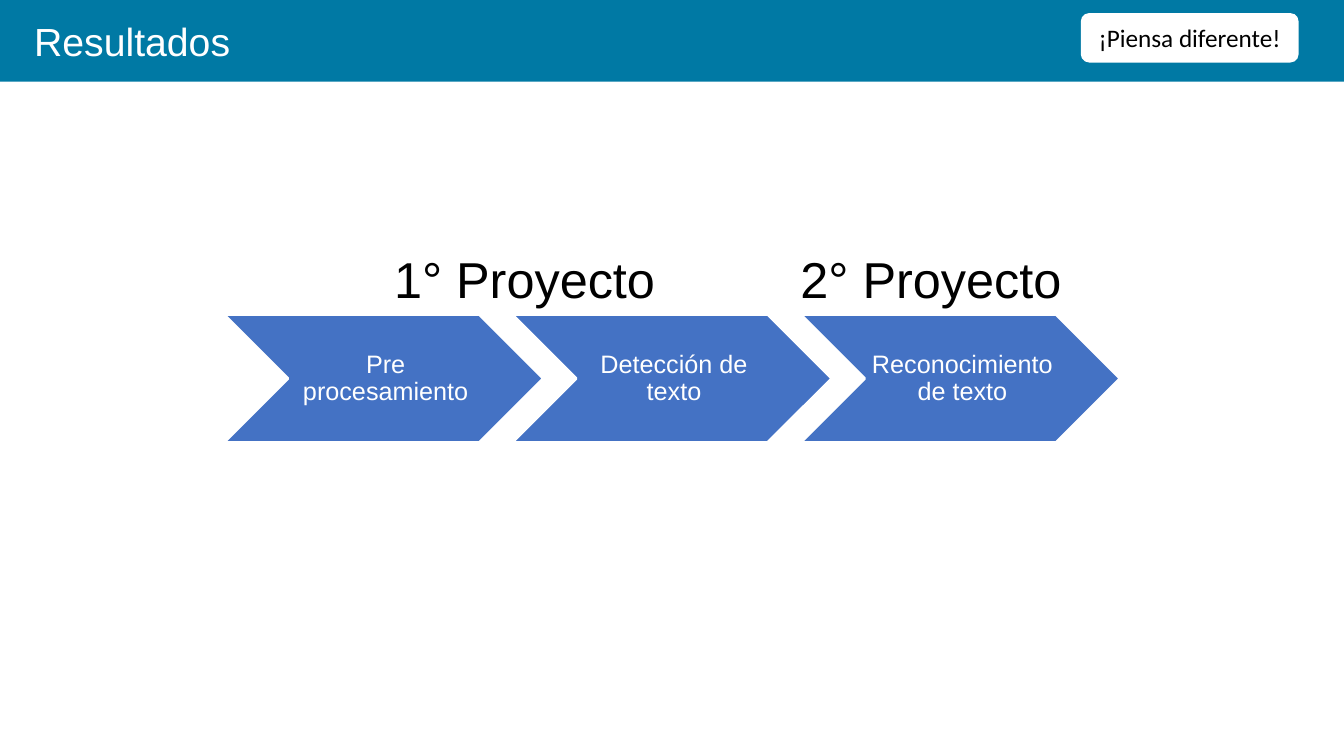
from pptx import Presentation
from pptx.dml.color import RGBColor
from pptx.enum.shapes import MSO_SHAPE
from pptx.enum.text import MSO_ANCHOR, PP_ALIGN
from pptx.util import Inches, Pt

RECTANGLE = MSO_SHAPE.RECTANGLE
ROUNDED = MSO_SHAPE.ROUNDED_RECTANGLE
CHEVRON = MSO_SHAPE.CHEVRON
TOP, MIDDLE = MSO_ANCHOR.TOP, MSO_ANCHOR.MIDDLE
LEFT, CENTER = PP_ALIGN.LEFT, PP_ALIGN.CENTER

COLORS = {"header": "0079A4", "step": "4472C4", "white": "FFFFFF", "black": "000000"}
WIDTH, HEIGHT = 13.33, 7.5
STEPS = ["Pre procesamiento", "Detección de texto", "Reconocimiento de texto"]
STEP_WIDTH, STEP_PITCH = 3.17, 2.86
# Project name and its left edge, measured from the left of the process
PROJECTS = [("1° Proyecto", 1.59), ("2° Proyecto", 5.62)]


def color(name):
    return RGBColor.from_string(COLORS[name])


def add_box(shapes, kind, box, fill, line=None):
    shape = shapes.add_shape(kind, *map(Inches, box))
    shape.shadow.inherit = False
    shape.fill.solid()
    shape.fill.fore_color.rgb = color(fill)
    if line:
        shape.line.color.rgb = color(line)
        shape.line.width = Pt(2)
    else:
        shape.line.fill.background()
    return shape


def write(shape, text, size, text_color, font="Arial", align=LEFT, anchor=TOP, wrap=True):
    text_frame = shape.text_frame
    text_frame.text = text
    text_frame.word_wrap = wrap
    text_frame.vertical_anchor = anchor
    paragraph = text_frame.paragraphs[0]
    paragraph.alignment = align
    run_font = paragraph.runs[0].font
    run_font.name, run_font.size = font, Pt(size)
    run_font.color.rgb = color(text_color)
    return text_frame


def add_text(shapes, box, *args, **options):
    return write(shapes.add_textbox(*map(Inches, box)), *args, **options)


def add_header(slide, left, top, width, height):
    shapes = slide.shapes
    add_box(shapes, RECTANGLE, (left, top, width, height), "header")
    add_text(shapes, (left + 0.24, top + 0.12, 3.09, 0.57), "Resultados", 28, "white")
    badge_box = (left + width - 2.61, top + 0.13, 2.16, 0.49)
    badge = add_box(shapes, ROUNDED, badge_box, "white")
    write(badge, "¡Piensa diferente!", 18, "black", "Calibri", CENTER, MIDDLE)


def add_process(slide, left, top, height):
    # Chevrons with their labels
    group = slide.shapes.add_group_shape()
    for index, step in enumerate(STEPS):
        step_left = left + index * STEP_PITCH
        add_box(group.shapes, CHEVRON, (step_left, top, STEP_WIDTH, height), "step", "white")
        label_box = (step_left + height / 2, top, STEP_WIDTH - height, height)
        label = add_text(group.shapes, label_box, step, 18, "white",
                         align=CENTER, anchor=MIDDLE)
        # Narrow side margins keep the longest word on one line
        label.margin_left, label.margin_right = Inches(0.05), Inches(0.01)
        label.margin_top = label.margin_bottom = Inches(0.03)
        label.paragraphs[0].line_spacing = 0.9
        label.paragraphs[0].space_after = Pt(6)

    # Project names above the chevrons
    for project, offset in PROJECTS:
        add_text(slide.shapes, (left + offset, top - 0.71, 2.82, 0.71),
                 project, 36, "black", wrap=False)


def main():
    presentation = Presentation()
    presentation.slide_width = Inches(WIDTH)
    presentation.slide_height = Inches(HEIGHT)
    slide = presentation.slides.add_slide(presentation.slide_layouts[6])
    add_header(slide, 0, 0, WIDTH, 0.81)
    add_process(slide, 2.22, 3.12, 1.27)
    presentation.save("out.pptx")


if __name__ == "__main__":
    main()
